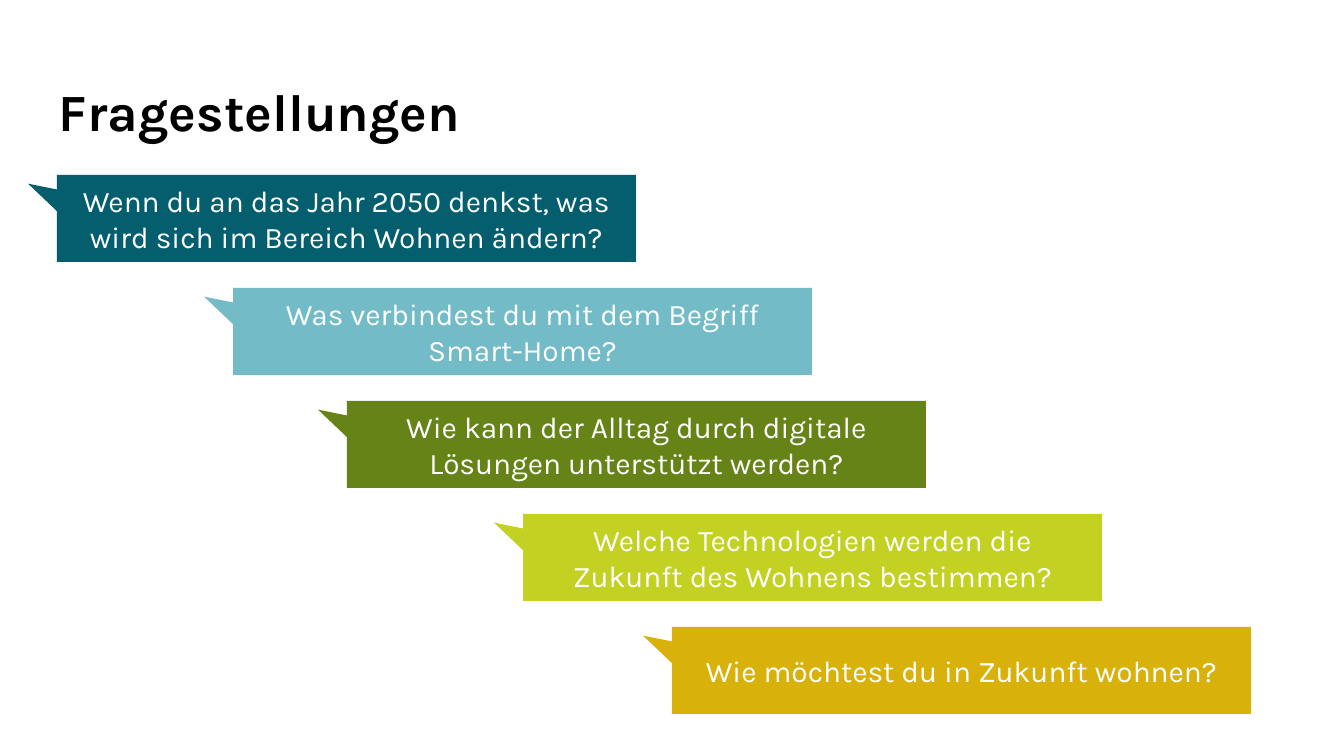
from pptx import Presentation
from pptx.dml.color import RGBColor
from pptx.enum.shapes import MSO_SHAPE as Shape
from pptx.enum.text import MSO_ANCHOR as Anchor, PP_ALIGN as Align
from pptx.util import Pt

PX = 6804
FONT = "Karla"
BLACK = RGBColor(0x00, 0x00, 0x00)
WHITE = RGBColor(0xFF, 0xFF, 0xFF)
PETROL = RGBColor(0x04, 0x5E, 0x6D)
SKY = RGBColor(0x72, 0xBB, 0xC7)
OLIVE = RGBColor(0x65, 0x83, 0x16)
LIME = RGBColor(0xC3, 0xD1, 0x23)
GOLD = RGBColor(0xD8, 0xB1, 0x0A)

QUESTIONS = [
    (0, PETROL, "Wenn du an das Jahr 2050 denkst, was wird sich im Bereich Wohnen ändern?"),
    (176, SKY, "Was verbindest du mit dem Begriff Smart-Home?"),
    (290, OLIVE, "Wie kann der Alltag durch digitale Lösungen unterstützt werden?"),
    (466, LIME, "Welche Technologien werden die Zukunft des Wohnens bestimmen?"),
    (615, GOLD, "Wie möchtest du in Zukunft wohnen?"),
]


def emu(*lengths):
    return [length * PX for length in lengths]


def set_text(frame, text, size, color, align, bold=False):
    frame.word_wrap = True
    para = frame.paragraphs[0]
    para.text = text
    para.alignment = align
    para.font.name = FONT
    para.font.size = Pt(size)
    para.font.bold = bold
    para.font.color.rgb = color


def add_title(page, box, text):
    frame = page.shapes.add_textbox(*emu(*box)).text_frame
    inset = 13 * PX
    frame.margin_left = frame.margin_right = inset
    frame.margin_top = frame.margin_bottom = inset
    set_text(frame, text, 28, BLACK, Align.LEFT, bold=True)


def add_callout(page, box, color, text):
    callout = page.shapes.add_shape(Shape.RECTANGULAR_CALLOUT, *emu(*box))
    callout.adjustments[0] = -0.55
    callout.adjustments[1] = -0.4
    callout.shadow.inherit = False
    callout.fill.solid()
    callout.fill.fore_color.rgb = color
    callout.line.fill.background()
    callout.text_frame.vertical_anchor = Anchor.MIDDLE
    set_text(callout.text_frame, text, 16, WHITE, Align.CENTER)


def add_questions(page, box, questions):
    left, top, width, height = box
    callout_width, callout_height = 579, 87
    step = (height - callout_height) // (len(questions) - 1)
    for row, (indent, color, text) in enumerate(questions):
        place = (left + indent, top + row * step, callout_width, callout_height)
        add_callout(page, place, color, text)


def main():
    deck = Presentation()
    deck.slide_width, deck.slide_height = emu(1344, 756)
    page = deck.slides.add_slide(deck.slide_layouts[6])
    add_title(page, (46, 66, 1253, 85), "Fragestellungen")
    add_questions(page, (57, 175, 1194, 539), QUESTIONS)
    deck.save("out.pptx")


if __name__ == "__main__":
    main()
